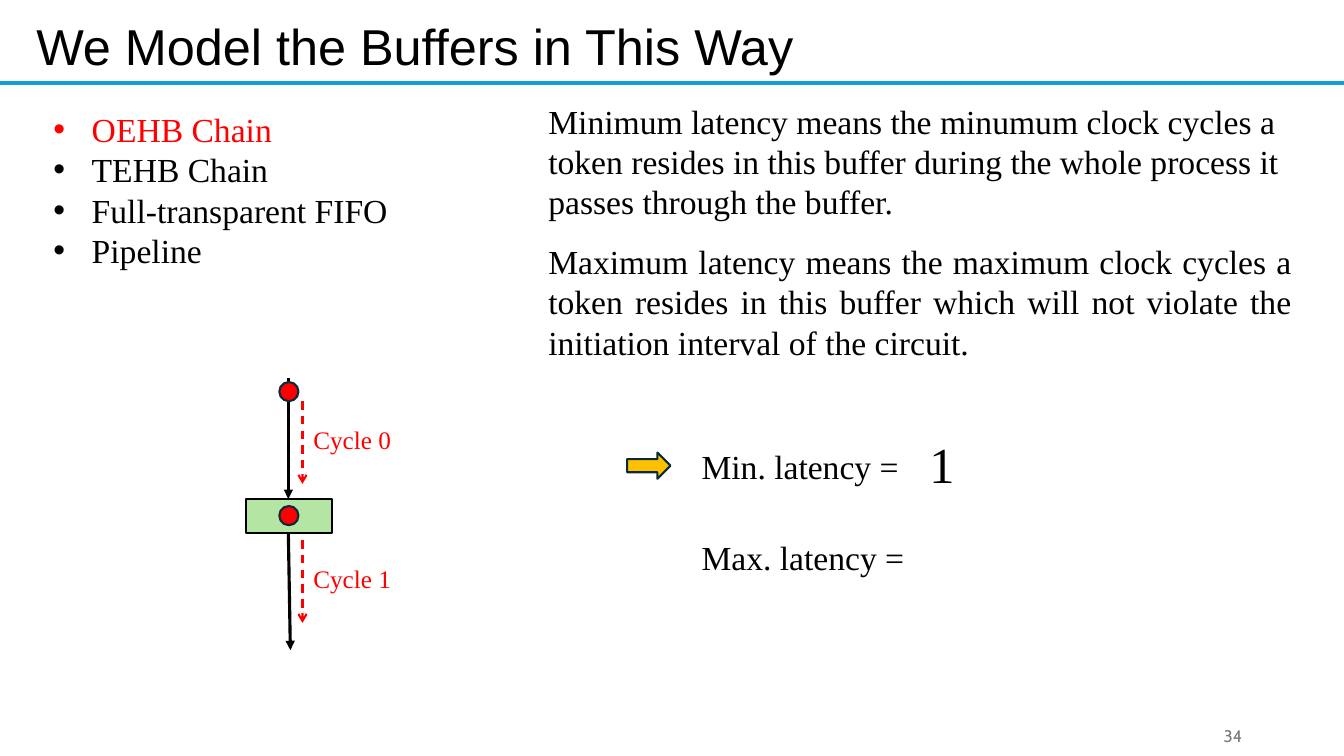
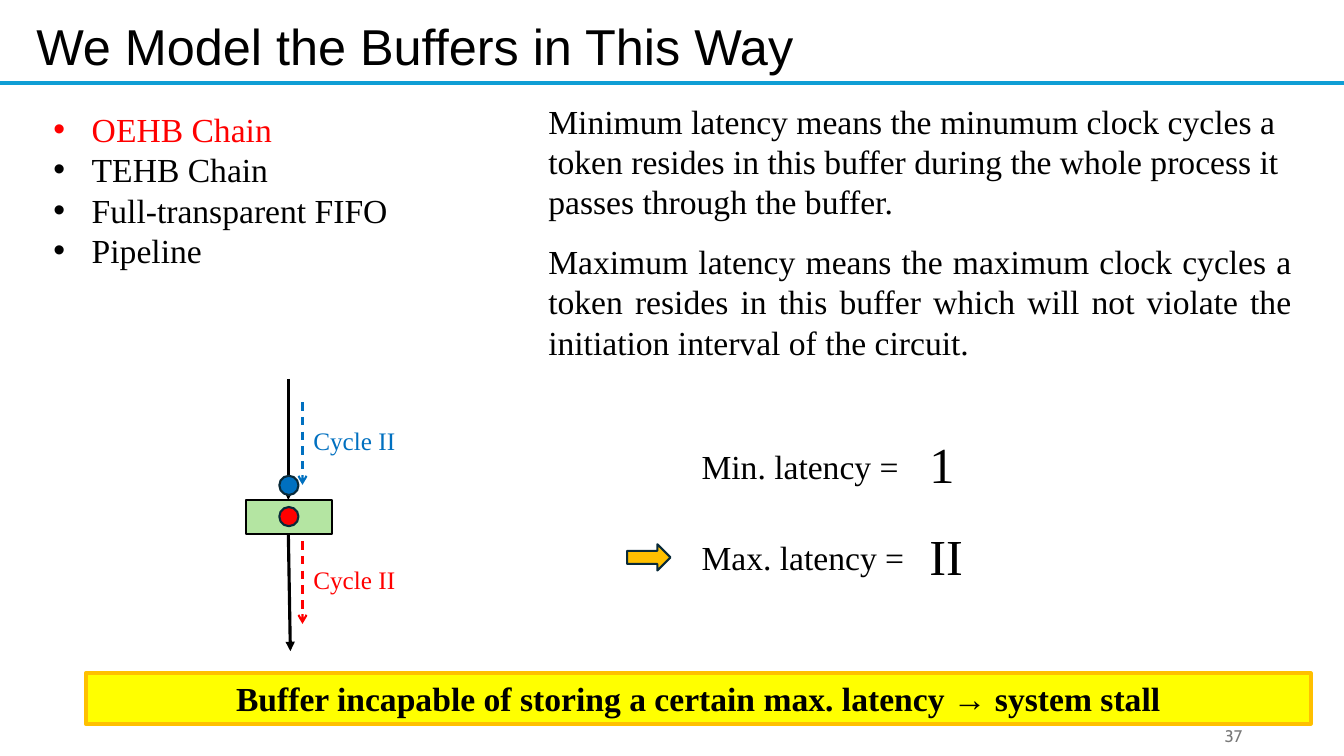
"""Two slides on the least and greatest latency of a buffer chain."""
from dataclasses import dataclass

from lxml import etree
from pptx import Presentation
from pptx.dml.color import RGBColor
from pptx.enum.dml import MSO_LINE
from pptx.enum.shapes import MSO_CONNECTOR, MSO_SHAPE
from pptx.enum.text import MSO_ANCHOR, MSO_AUTO_SIZE, PP_ALIGN
from pptx.oxml.ns import qn
from pptx.util import Emu, Pt

LEFT, RIGHT, MID, FULL = PP_ALIGN.LEFT, PP_ALIGN.RIGHT, PP_ALIGN.CENTER, PP_ALIGN.JUSTIFY
TOP, CENTRE, FIXED = MSO_ANCHOR.TOP, MSO_ANCHOR.MIDDLE, MSO_AUTO_SIZE.NONE
RECT, OVAL, ARROW = MSO_SHAPE.RECTANGLE, MSO_SHAPE.OVAL, MSO_SHAPE.RIGHT_ARROW
STRAIGHT, DASH = MSO_CONNECTOR.STRAIGHT, MSO_LINE.DASH

SCALE = 9144
WIDE, HIGH = 1333, 750
SERIF, SANS, SMALL = "Times New Roman", "Arial", "Cabin"
HUES = {
    "black": "000000", "red": "FF0000", "blue": "0070C0", "sky": "0F9ED5",
    "green": "B4E5A2", "gold": "FFC000", "yellow": "FFFF00",
    "navy": "092A39", "grey": "797979",
}
TITLE = "We Model the Buffers in This Way"
KINDS = ("OEHB Chain", "TEHB Chain", "Full-transparent FIFO", "Pipeline")
LEAST = ("Minimum latency means the minumum clock cycles a token resides in this "
         "buffer during the whole process it passes through the buffer.")
MOST = ("Maximum latency means the maximum clock cycles a token resides in this "
        "buffer which will not violate the initiation interval of the circuit.")
ROW, ROWS = 91, ("Min. latency =", "Max. latency =")


@dataclass(frozen=True)
class Step:
    """A labelled move of one token, with the top of its ball."""
    label: str
    hue: str
    ball: int


@dataclass(frozen=True)
class Page:
    """What differs from slide to slide."""
    number: str
    steps: tuple[Step, Step]
    values: tuple[str, ...]
    shift: int = 0
    note: str = ""


PAGES = (
    Page("34", (Step("Cycle 0", "red", 379), Step("Cycle 1", "red", 502)), ("1",)),
    Page("37", (Step("Cycle II", "blue", 471), Step("Cycle II", "red", 502)),
         ("1", "II"), 1,
         "Buffer incapable of storing a certain max. latency → system stall"),
)


def px(size: int) -> Emu:
    """Turn px into EMU."""
    return Emu(size * SCALE)


def tint(name: str) -> RGBColor:
    """Look up a colour by name."""
    return RGBColor.from_string(HUES[name])


def place(shape, left: int, top: int, width: int, height: int):
    """Move and size a shape."""
    shape.left, shape.top = px(left), px(top)
    shape.width, shape.height = px(width), px(height)
    return shape


def write(shape, *lines: str, size: int = 24, face: str = SERIF, hue: str = "black",
          first: str = "", align=LEFT, anchor=TOP, bold: bool = False,
          bullet: str = "") -> None:
    """Fill a shape with lines of text in one format."""
    frame = shape.text_frame
    frame.word_wrap, frame.auto_size = True, FIXED
    frame.vertical_anchor = anchor
    frame.text = "\n".join(lines)
    for rank, para in enumerate(frame.paragraphs):
        para.alignment, para.space_before = align, Pt(0)
        if bullet:
            props = para._p.get_or_add_pPr()
            props.set("marL", str(px(38)))
            props.set("indent", str(px(-38)))
            etree.SubElement(props, qn("a:buFont")).set("typeface", SANS)
            etree.SubElement(props, qn("a:buChar")).set("char", bullet)
        font = para.runs[0].font
        font.name, font.size, font.bold = face, Pt(size), bold
        font.color.rgb = tint(first if first and rank == 0 else hue)


def label(slide, text: str, left: int, top: int, width: int, height: int, **form) -> None:
    """Add a text box."""
    box = slide.shapes.add_textbox(px(left), px(top), px(width), px(height))
    write(box, text, **form)


def block(slide, kind, left: int, top: int, width: int, height: int,
          fill: str, edge: str = "navy", weight: float = 1.5):
    """Add a filled shape with an outline."""
    shape = slide.shapes.add_shape(kind, px(left), px(top), px(width), px(height))
    shape.shadow.inherit = False
    shape.fill.solid()
    shape.fill.fore_color.rgb = tint(fill)
    shape.line.color.rgb = tint(edge)
    shape.line.width = Pt(weight)
    return shape


def line(slide, start: tuple[int, int], end: tuple[int, int], hue: str,
         weight: float, tip: str = "", dash=None) -> None:
    """Add a straight line, with an arrow tip if one is named."""
    link = slide.shapes.add_connector(STRAIGHT, *map(px, start + end))
    link.line.color.rgb = tint(hue)
    link.line.width = Pt(weight)
    if dash is not None:
        link.line.dash_style = dash
    if tip:
        etree.SubElement(link.line._get_or_add_ln(), qn("a:tailEnd")).set("type", tip)
    etree.SubElement(link._element.spPr, qn("a:effectLst"))


def frame(slide, page: Page) -> None:
    """Draw the title, rule, list, prose and page number."""
    title, body = slide.placeholders
    write(place(title, 26, 10, 1159, 71), TITLE, size=36, face=SANS)
    write(place(body, 43, 103, 354, 172), *KINDS, first="red", bullet="•")
    line(slide, (0, 82), (WIDE, 82), "sky", 3)
    label(slide, LEAST, 534, 95, 780, 131)
    label(slide, MOST, 534, 234, 757, 131, align=FULL)
    label(slide, page.number, 942, 710, 300, 40, size=12, face=SMALL,
          hue="grey", align=RIGHT, anchor=CENTRE)


def chain(slide, page: Page) -> None:
    """Draw the buffer, its links and the moving tokens."""
    down = page.shift
    line(slide, (286, 375 + down), (286, 495 + down), "black", 2.25, "triangle")
    block(slide, RECT, 244, 495 + down, 85, 34, "green", "black")
    line(slide, (286, 529 + down), (288, 645 + down), "black", 2.25, "triangle")
    for step, top in zip(page.steps, (398, 536)):
        top += down
        line(slide, (300, top), (300, top + 82), step.hue, 1.5, "arrow", DASH)
        label(slide, step.label, 301, top + 18, 110, 40, size=18, hue=step.hue)
        block(slide, OVAL, 277, step.ball + down, 19, 19, step.hue)


def sums(slide, page: Page) -> None:
    """Draw the latency rows and point at the newest value."""
    for rank, name in enumerate(ROWS):
        label(slide, name, 686, 437 + rank * ROW, 226, 50)
    for rank, value in enumerate(page.values):
        label(slide, value, 912, 425 + rank * ROW, 80, 71, size=36)
    block(slide, ARROW, 622, 449 + (len(page.values) - 1) * ROW, 43, 26, "gold")


def main() -> None:
    """Build and save the slides."""
    deck = Presentation()
    deck.slide_width, deck.slide_height = px(WIDE), px(HIGH)
    for page in PAGES:
        slide = deck.slides.add_slide(deck.slide_layouts[1])
        frame(slide, page)
        chain(slide, page)
        sums(slide, page)
        if page.note:
            note = block(slide, RECT, 85, 668, 1215, 50, "yellow", "gold", 3)
            write(note, page.note, align=MID, anchor=CENTRE, bold=True)
    deck.save("out.pptx")


if __name__ == "__main__":
    main()
